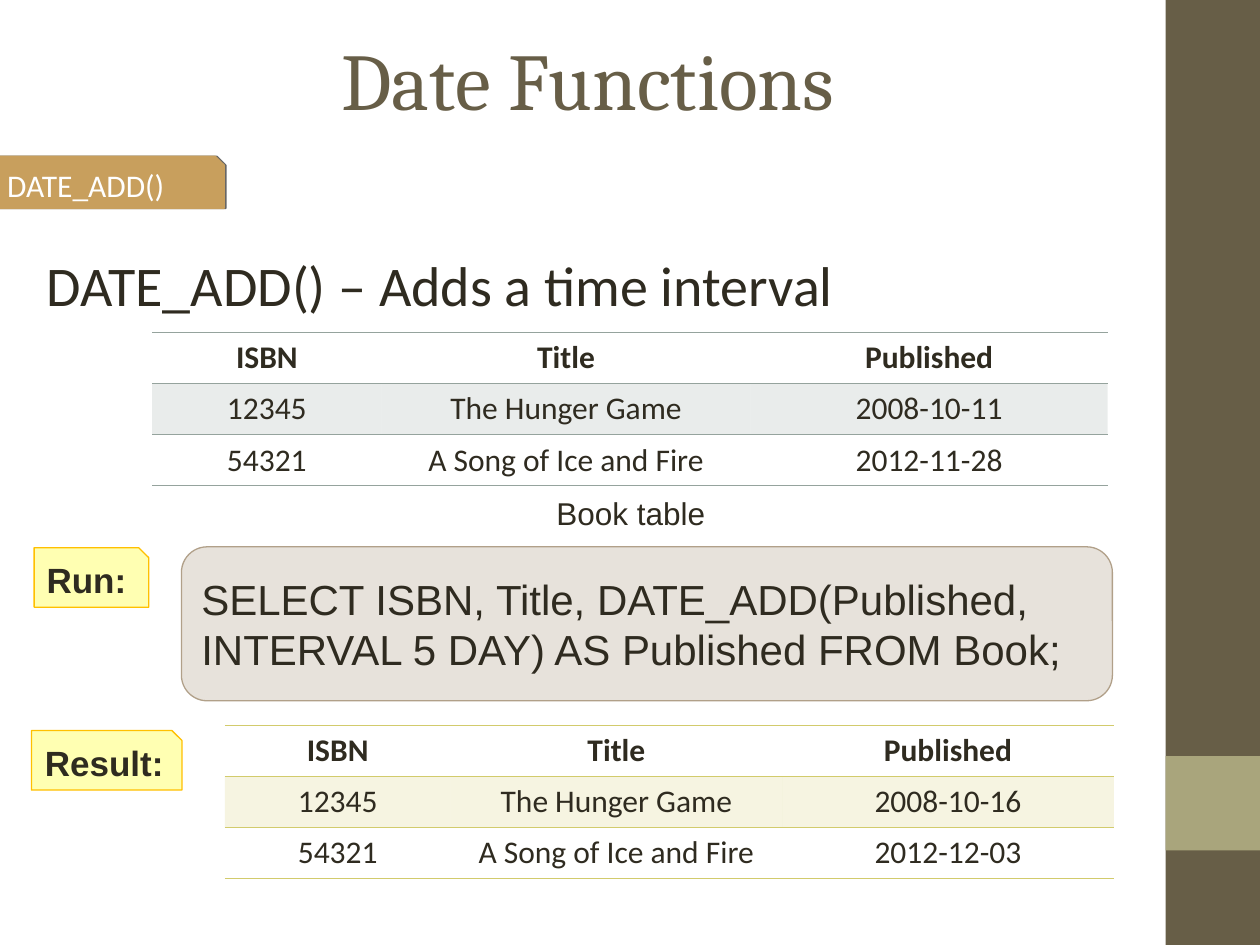
from dataclasses import dataclass

from lxml.etree import SubElement
from pptx import Presentation
from pptx.dml.color import RGBColor
from pptx.enum.shapes import MSO_SHAPE
from pptx.enum.text import MSO_ANCHOR, PP_ALIGN
from pptx.oxml import parse_xml
from pptx.oxml.ns import nsdecls, qn
from pptx.util import Pt


@dataclass(frozen=True)
class Theme:
    # Colours
    bar: str = "675E47"
    accent: str = "A9A57C"
    ink: str = "2F2B20"
    white: str = "FFFFFF"
    tag: str = "C89F5D"
    code: str = "B1A089"
    note: str = "FFFF00"
    note_line: str = "FFC000"
    book: str = "95A39D"
    result: str = "D2CB6C"
    # Fonts and sizes
    heading_font: str = "Cambria"
    body_font: str = "Calibri"
    code_font: str = "Arial"
    title_size: float = 46
    lead_size: float = 32
    code_size: float = 24
    label_size: float = 20
    text_size: float = 18


@dataclass(frozen=True)
class Box:
    x: float
    y: float
    w: float
    h: float

    def lengths(self) -> tuple:
        return Pt(self.x), Pt(self.y), Pt(self.w), Pt(self.h)


@dataclass(frozen=True)
class Panel:
    """A filled shape with optional outline and text."""
    kind: MSO_SHAPE
    box: Box
    fill: str
    opacity: int = 100
    line: str = ""
    line_width: float = 0.75
    text: str = ""
    fmt: tuple = ()
    align: PP_ALIGN = PP_ALIGN.LEFT


@dataclass(frozen=True)
class Grid:
    """A three-column book listing."""
    x: float
    y: float
    widths: tuple
    color: str
    dates: tuple


T = Theme()
CORNER = 0.167
ROW_HEIGHT = 29.2
RULE_WIDTH = 0.45
NO_STYLE = "{2D5ABB26-0587-4C30-8999-92F81FD0307C}"
HEADER = ("ISBN", "Title", "Published")
BOOKS = (("12345", "The Hunger Game"), ("54321", "A Song of Ice and Fire"))


def font(name: str, size: float, color: str, bold: bool = False) -> tuple:
    return name, size, color, bold


CELL = font(T.body_font, T.text_size, T.ink)
LABEL = font(T.code_font, T.label_size, T.ink, True)


def write(tf, text: str, fmt: tuple, align: PP_ALIGN) -> None:
    p = tf.paragraphs[0]
    p.alignment = align
    r = p.add_run()
    r.text = text
    name, size, color, bold = fmt
    for key, value in {"name": name, "size": Pt(size), "bold": bold}.items():
        setattr(r.font, key, value)
    r.font.color.rgb = RGBColor.from_string(color)


def paint(fill, color: str, opacity: int = 100) -> None:
    fill.solid()
    fill.fore_color.rgb = RGBColor.from_string(color)
    if opacity < 100:
        clr = fill.fore_color._xFill.find(qn("a:srgbClr"))
        SubElement(clr, qn("a:alpha")).set("val", str(opacity * 1000))


def add_panel(s, panel: Panel):
    sp = s.shapes.add_shape(panel.kind, *panel.box.lengths())
    sp.shadow.inherit = False
    paint(sp.fill, panel.fill, panel.opacity)
    if panel.kind != MSO_SHAPE.RECTANGLE:
        sp.adjustments[0] = CORNER
    if panel.line:
        sp.line.color.rgb = RGBColor.from_string(panel.line)
        sp.line.width = Pt(panel.line_width)
    else:
        sp.line.fill.background()
    if panel.text:
        tf = sp.text_frame
        tf.word_wrap = True
        tf.vertical_anchor = MSO_ANCHOR.MIDDLE
        write(tf, panel.text, panel.fmt, panel.align)
    return sp


def add_side_shadow(sp) -> None:
    effects = sp._element.spPr.find(qn("a:effectLst"))
    effects.append(parse_xml(
        f'<a:outerShdw {nsdecls("a")} dist="{Pt(1)}" dir="0">'
        '<a:srgbClr val="000000"><a:alpha val="60000"/></a:srgbClr></a:outerShdw>'))


def add_text(s, box: Box, text: str, fmt: tuple, align: PP_ALIGN) -> None:
    tf = s.shapes.add_textbox(*box.lengths()).text_frame
    tf.word_wrap = True
    write(tf, text, fmt, align)


def add_rules(cell, sides: tuple, color: str) -> None:
    tcPr = cell._tc.get_or_add_tcPr()
    for i, side in enumerate(sides):
        tcPr.insert(i, parse_xml(
            f'<a:{side} {nsdecls("a")} w="{Pt(RULE_WIDTH)}"><a:solidFill>'
            f'<a:srgbClr val="{color}"/></a:solidFill></a:{side}>'))


def add_grid(s, grid: Grid) -> None:
    rows = [HEADER] + [book + (date,) for book, date in zip(BOOKS, grid.dates)]
    box = Box(grid.x, grid.y, sum(grid.widths), ROW_HEIGHT * len(rows))
    table = s.shapes.add_table(len(rows), len(HEADER), *box.lengths()).table
    table._tbl.tblPr.find(qn("a:tableStyleId")).text = NO_STYLE
    for column, width in zip(table.columns, grid.widths):
        column.width = Pt(width)
    # Rules above and below the header, and below the last row
    sides = {0: ("lnT", "lnB"), 1: ("lnT",), len(rows) - 1: ("lnB",)}
    for i, row in enumerate(rows):
        table.rows[i].height = Pt(ROW_HEIGHT)
        for j, text in enumerate(row):
            cell = table.cell(i, j)
            if i % 2:
                paint(cell.fill, grid.color, 20)
            else:
                cell.fill.background()
            add_rules(cell, sides[i], grid.color)
            write(cell.text_frame, text, CELL[:3] + (i == 0,), PP_ALIGN.CENTER)


def main() -> None:
    prs = Presentation()
    prs.slide_width, prs.slide_height = Pt(720), Pt(540)
    s = prs.slides.add_slide(prs.slide_layouts[5])

    # Side bar
    add_panel(s, Panel(MSO_SHAPE.RECTANGLE, Box(666, 0, 54, 540), T.bar))
    add_panel(s, Panel(MSO_SHAPE.RECTANGLE, Box(666, 432, 54, 54), T.accent))

    # Title
    title = s.shapes.title
    title.left, title.top, title.width, title.height = Box(36, 0, 600, 90).lengths()
    title.text_frame.vertical_anchor = MSO_ANCHOR.MIDDLE
    write(title.text_frame, "Date Functions",
          font(T.heading_font, T.title_size, T.bar), PP_ALIGN.CENTER)

    # Topic tag and lead line
    tag = add_panel(s, Panel(
        MSO_SHAPE.SNIP_1_RECTANGLE, Box(-3, 89.5, 131, 29.5), T.tag, line=T.tag,
        line_width=1, text="DATE_ADD()", fmt=font(T.body_font, T.text_size, T.white)))
    add_side_shadow(tag)
    add_text(s, Box(19.5, 139.5, 682, 85), "DATE_ADD() – Adds a time interval",
             font(T.body_font, T.lead_size, T.ink), PP_ALIGN.LEFT)

    # Query
    add_panel(s, Panel(
        MSO_SHAPE.ROUNDED_RECTANGLE, Box(103.7, 312.5, 532, 88), T.code, 30, T.code,
        text="SELECT ISBN, Title, DATE_ADD(Published, INTERVAL 5 DAY) AS Published FROM Book;",
        fmt=font(T.code_font, T.code_size, T.ink)))

    # Tables and caption
    add_grid(s, Grid(128.5, 414.5, (129, 189.5, 189.5), T.result,
                     ("2008-10-16", "2012-12-03")))
    add_grid(s, Grid(87, 190, (131, 211, 204), T.book, ("2008-10-11", "2012-11-28")))
    add_text(s, Box(281, 278.5, 159, 29), "Book table",
             font(T.code_font, T.text_size, T.ink), PP_ALIGN.CENTER)

    # Step labels
    for text, box, align in (
            ("Result:", Box(18, 417.5, 86, 34), PP_ALIGN.CENTER),
            ("Run:", Box(19.5, 313, 65.5, 34), PP_ALIGN.LEFT)):
        add_panel(s, Panel(MSO_SHAPE.SNIP_1_RECTANGLE, box, T.note, 30, T.note_line,
                           text=text, fmt=LABEL, align=align))

    prs.save("out.pptx")


if __name__ == "__main__":
    main()
